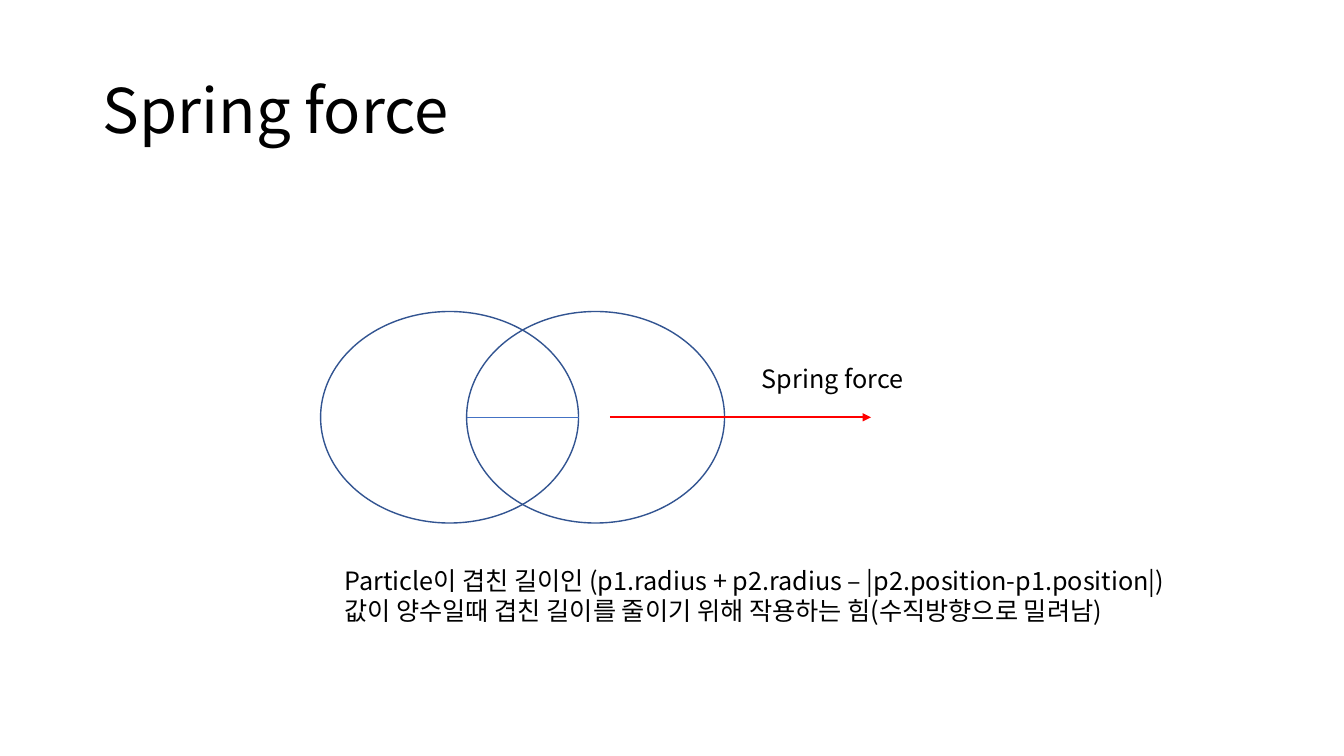
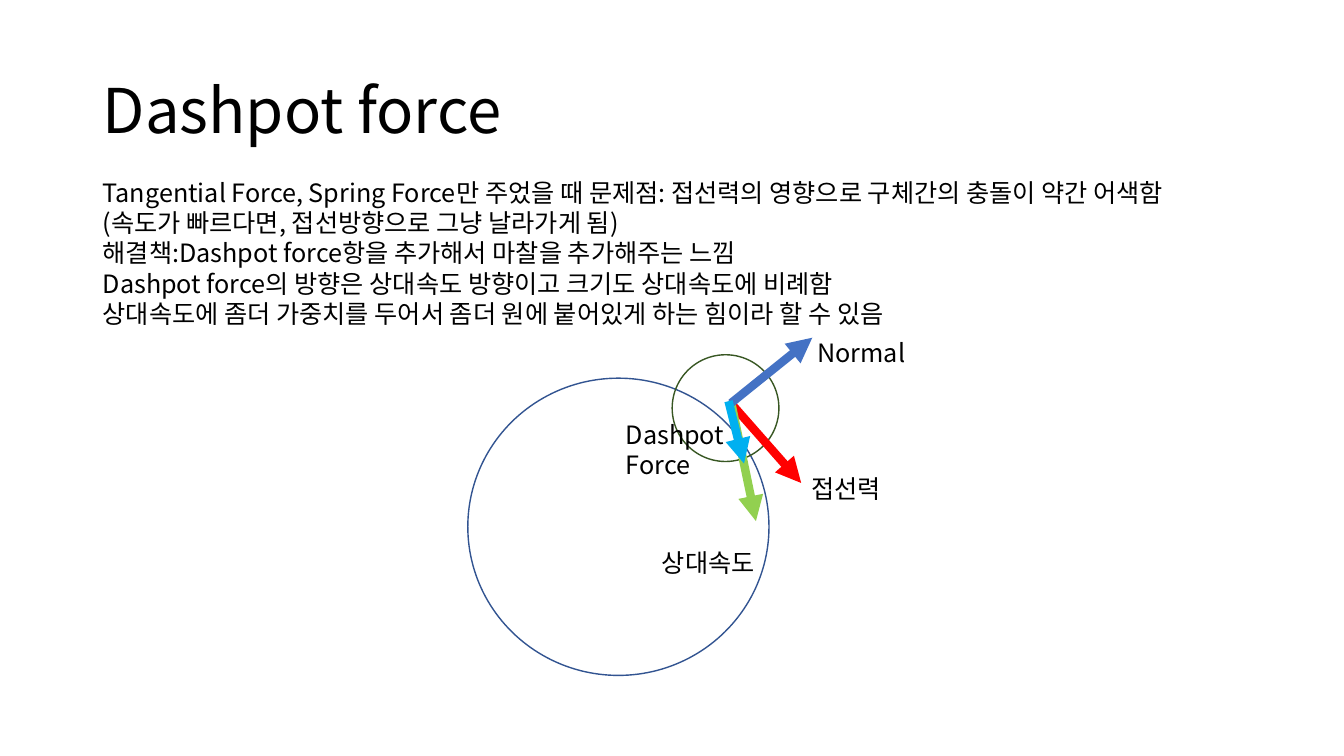
from dataclasses import dataclass

from lxml import etree
from pptx import Presentation
from pptx import util as u
from pptx.dml.color import RGBColor
from pptx.enum import shapes, text
from pptx.oxml.ns import qn


@dataclass(frozen=True)
class Theme:
    """Colours, font and type sizes shared by the slides."""
    font: str = "Noto Sans CJK KR"
    title_size: int = 44
    body_size: int = 18
    ink: str = "000000"
    navy: str = "325491"
    forest: str = "385723"
    blue: str = "4472C4"
    cyan: str = "00B0F0"
    green: str = "92D050"
    red: str = "FF0000"


THEME = Theme()
TITLE_BOX = (2.34, 1.02, 29.21, 3.68)

# Particles that overlap along their horizontal axis, in centimetres
PARTICLE_LEFTS = (8.08, 11.76)
PARTICLE_TOP, PARTICLE_WIDTH, PARTICLE_HEIGHT = 7.85, 6.5, 5.33
AXIS = PARTICLE_TOP + PARTICLE_HEIGHT / 2
OVERLAP_END = PARTICLE_LEFTS[0] + PARTICLE_WIDTH

# Circles: box, colour. Lines: start, end, colour, points, arrowhead.
# Texts: box, paragraphs.
SLIDES = [
    {
        "title": "Spring force",
        "circles": [
            ((left, PARTICLE_TOP, PARTICLE_WIDTH, PARTICLE_HEIGHT), THEME.navy)
            for left in PARTICLE_LEFTS
        ],
        "lines": [
            ((PARTICLE_LEFTS[1], AXIS), (OVERLAP_END, AXIS), THEME.blue, 0.5, False),
            ((15.37, AXIS), (21.95, AXIS), THEME.red, 1.5, True),
        ],
        "texts": [
            ((8.43, 14.12, 21.62, 1.8), [
                "Particle이 겹친 길이인 (p1.radius + p2.radius – |p2.position-p1.position|)",
                "값이 양수일때 겹친 길이를 줄이기 위해 작용하는 힘(수직방향으로 밀려남)",
            ]),
            ((18.95, 9.04, 14.9, 1.02), ["Spring force"]),
        ],
    },
    {
        "title": "Dashpot force",
        "circles": [
            ((11.79, 9.53, 7.59, 7.49), THEME.navy),
            ((16.94, 8.94, 2.69, 2.69), THEME.forest),
        ],
        "lines": [
            ((18.42, 10.16), (20.19, 12.17), THEME.red, 6, True),
            ((18.42, 10.11), (19.05, 13.13), THEME.green, 6, True),
            ((18.42, 10.16), (20.47, 8.51), THEME.blue, 6, True),
            ((18.36, 10.11), (18.75, 11.68), THEME.cyan, 6, True),
        ],
        "texts": [
            ((16.43, 13.67, 3.66, 1.02), ["상대속도"]),
            ((20.19, 11.79, 3.66, 1.02), ["접선력"]),
            ((20.35, 8.38, 3.66, 1.8), ["Normal"]),
            ((15.52, 10.44, 3.66, 1.8), ["Dashpot Force"]),
            ((2.34, 4.34, 29.21, 4.11), [
                "Tangential Force, Spring Force만 주었을 때 문제점: 접선력의 영향으로 "
                "구체간의 충돌이 약간 어색함 (속도가 빠르다면, 접선방향으로 그냥 날라가게 됨)",
                "해결책:Dashpot force항을 추가해서 마찰을 추가해주는 느낌",
                "Dashpot force의 방향은 상대속도 방향이고 크기도 상대속도에 비례함",
                "상대속도에 좀더 가중치를 두어서 좀더 원에 붙어있게 하는 힘이라 할 수 있음",
            ]),
        ],
    },
]


def lengths(values):
    """Turn centimetre numbers into slide lengths."""
    return [u.Cm(value) for value in values]


def style_line(line, color, points):
    """Set the colour and width of an outline or connector."""
    line.color.rgb = RGBColor.from_string(color)
    line.width = u.Pt(points)


def style_paragraph(paragraph, size):
    """Set size, colour and both the Latin and East Asian font."""
    font = paragraph.font
    font.size = u.Pt(size)
    font.color.rgb = RGBColor.from_string(THEME.ink)
    font.name = THEME.font
    defaults = paragraph._p.pPr.find(qn("a:defRPr"))
    etree.SubElement(defaults, qn("a:ea"), typeface=THEME.font)


def add_text(slide, box, lines, size=THEME.body_size):
    """Add a wrapping text box with one paragraph per line."""
    frame = slide.shapes.add_textbox(*lengths(box)).text_frame
    frame.word_wrap = True
    frame.text = "\n".join(lines)
    for paragraph in frame.paragraphs:
        style_paragraph(paragraph, size)
    return frame


def add_title(slide, title):
    """Add the slide title, centred vertically in its band."""
    frame = add_text(slide, TITLE_BOX, [title], THEME.title_size)
    frame.vertical_anchor = text.MSO_ANCHOR.MIDDLE
    frame.paragraphs[0].line_spacing = 0.9


def add_circle(slide, box, color):
    """Add an unfilled ellipse."""
    shape = slide.shapes.add_shape(shapes.MSO_SHAPE.OVAL, *lengths(box))
    shape.shadow.inherit = False
    shape.fill.background()
    style_line(shape.line, color, 1)


def add_line(slide, start, end, color, points, arrow):
    """Add a straight line, with an arrowhead at its end if asked."""
    connector = slide.shapes.add_connector(
        shapes.MSO_CONNECTOR.STRAIGHT, *lengths(start + end))
    style_line(connector.line, color, points)
    properties = connector._element.spPr
    if arrow:
        etree.SubElement(properties.find(qn("a:ln")), qn("a:tailEnd"), type="triangle")
    etree.SubElement(properties, qn("a:effectLst"))


def build():
    """Build every slide and save the presentation."""
    presentation = Presentation()
    presentation.slide_width, presentation.slide_height = lengths((33.87, 19.05))
    blank = presentation.slide_layouts[6]
    for content in SLIDES:
        slide = presentation.slides.add_slide(blank)
        add_title(slide, content["title"])
        for circle in content["circles"]:
            add_circle(slide, *circle)
        for line in content["lines"]:
            add_line(slide, *line)
        for block in content["texts"]:
            add_text(slide, *block)
    presentation.save("out.pptx")


build()
